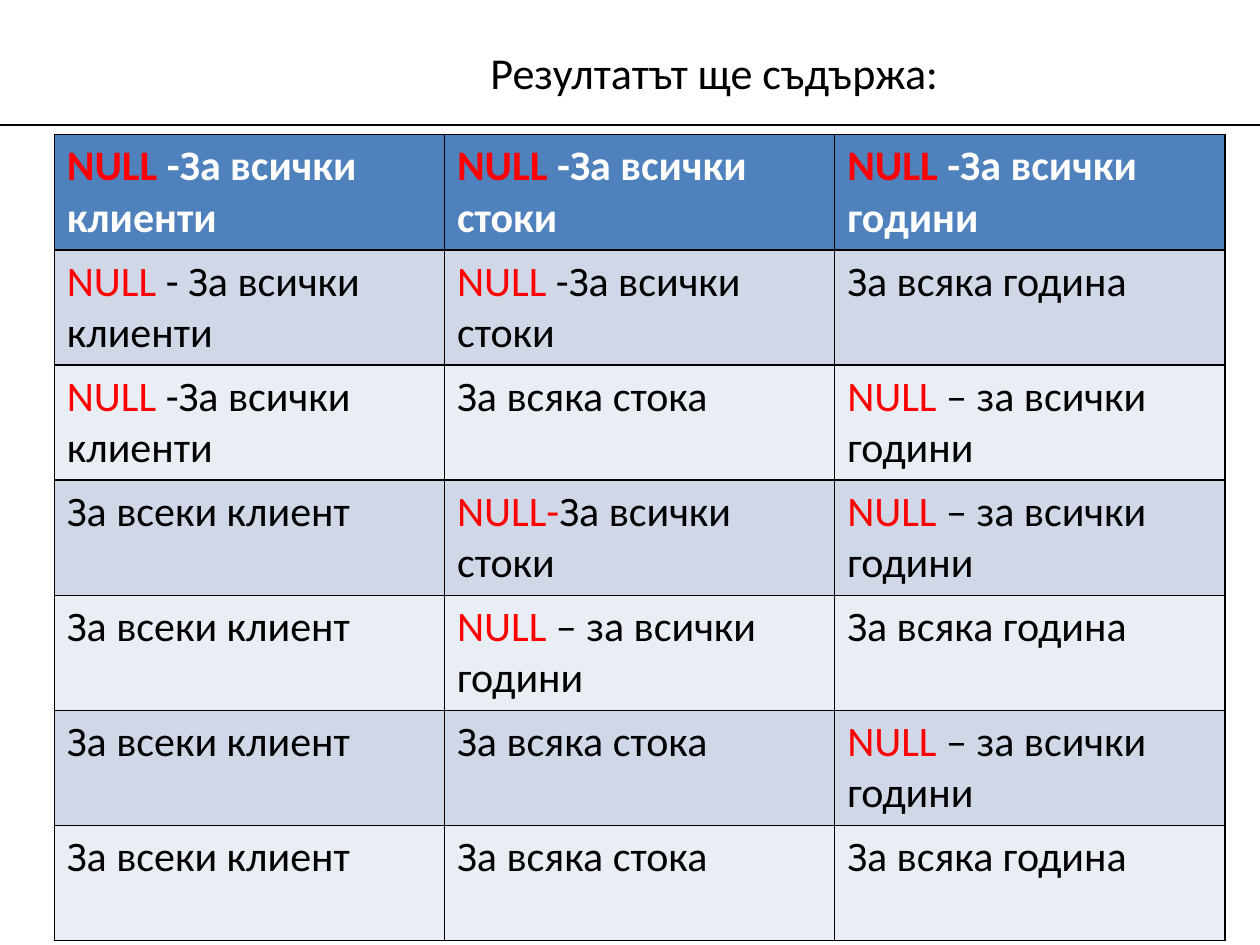
from lxml import etree
from pptx import Presentation
from pptx.dml.color import RGBColor
from pptx.enum.shapes import MSO_CONNECTOR
from pptx.enum.text import MSO_ANCHOR, PP_ALIGN
from pptx.oxml.ns import qn
from pptx.util import Pt

STRAIGHT = MSO_CONNECTOR.STRAIGHT
MIDDLE = MSO_ANCHOR.MIDDLE
LEFT, CENTER = PP_ALIGN.LEFT, PP_ALIGN.CENTER

# Content: each cell is (red part, plain part)
TITLE = "Резултатът ще съдържа:"
ALL_YEARS = ("NULL", " – за всички години")
EACH_CLIENT = ("", "За всeки клиент")
EACH_PRODUCT = ("", "За всяка стока")
EACH_YEAR = ("", "За всяка година")
ROWS = [
    [("NULL", " -За всички клиенти"), ("NULL", " -За всички стоки"),
     ("NULL", " -За всички години")],
    [("NULL", " - За всички клиенти"), ("NULL ", "-За всички стоки"), EACH_YEAR],
    [("NULL", " -За всички клиенти"), EACH_PRODUCT, ALL_YEARS],
    [("", "За всеки клиент"), ("NULL-", "За всички стоки"), ALL_YEARS],
    [EACH_CLIENT, ALL_YEARS, EACH_YEAR],
    [EACH_CLIENT, EACH_PRODUCT, ALL_YEARS],
    [EACH_CLIENT, EACH_PRODUCT, EACH_YEAR],
]

THEME = {
    "font": "Calibri", "title_size": 25.2, "cell_size": 24,
    "ink": "000000", "null": "FF0000", "header_ink": "FFFFFF",
    "header": "4F81BD", "bands": ("D0D8E8", "E9EDF4"),
}

# Layout, in points
SLIDE_W, SLIDE_H = 720, 540
RULE_Y = 71.5
TABLE_X, TABLE_Y = 31, 77
COL_W, ROW_H = 223, 65.8


def write(frame, parts, size, bold=False, align=LEFT):
    """Fill the first paragraph with (text, colour) parts."""
    paragraph = frame.paragraphs[0]
    paragraph.alignment = align
    for text, color in parts:
        if not text:
            continue
        run = paragraph.add_run()
        run.text = text
        run.font.name = THEME["font"]
        run.font.size = Pt(size)
        run.font.bold = bold
        run.font.color.rgb = RGBColor.from_string(color)


def add_borders(cell, color, width):
    properties = cell._tc.get_or_add_tcPr()
    for side in ("a:lnL", "a:lnR", "a:lnT", "a:lnB"):
        border = etree.SubElement(properties, qn(side), w=str(Pt(width)))
        fill = etree.SubElement(border, qn("a:solidFill"))
        etree.SubElement(fill, qn("a:srgbClr"), val=color)


def main():
    deck = Presentation()
    deck.slide_width, deck.slide_height = Pt(SLIDE_W), Pt(SLIDE_H)
    slide = deck.slides.add_slide(deck.slide_layouts[6])

    # Rule under the title
    rule = slide.shapes.add_connector(STRAIGHT, 0, Pt(RULE_Y), Pt(SLIDE_W), Pt(RULE_Y))
    rule.line.color.rgb = RGBColor.from_string(THEME["ink"])
    rule.line.width = Pt(0.75)
    etree.SubElement(rule._element.spPr, qn("a:effectLst"))

    # Title
    title = slide.shapes.add_textbox(Pt(113), Pt(21.6), Pt(590.4), Pt(39)).text_frame
    title.word_wrap = True
    title.vertical_anchor = MIDDLE
    write(title, [(TITLE, THEME["ink"])], THEME["title_size"], align=CENTER)

    # Table of grouping combinations
    row_count, col_count = len(ROWS), len(ROWS[0])
    groupings = slide.shapes.add_table(
        row_count, col_count, Pt(TABLE_X), Pt(TABLE_Y),
        Pt(COL_W * col_count), Pt(ROW_H * row_count)).table
    for column in groupings.columns:
        column.width = Pt(COL_W)
    for r, row in enumerate(ROWS):
        groupings.rows[r].height = Pt(ROW_H)
        is_header = r == 0
        ink = THEME["header_ink"] if is_header else THEME["ink"]
        background = THEME["header"] if is_header else THEME["bands"][(r - 1) % 2]
        for c, (null_part, plain_part) in enumerate(row):
            cell = groupings.cell(r, c)
            add_borders(cell, THEME["ink"], 1)
            cell.fill.solid()
            cell.fill.fore_color.rgb = RGBColor.from_string(background)
            write(cell.text_frame, [(null_part, THEME["null"]), (plain_part, ink)],
                  THEME["cell_size"], bold=is_header)

    deck.save("out.pptx")


if __name__ == "__main__":
    main()
